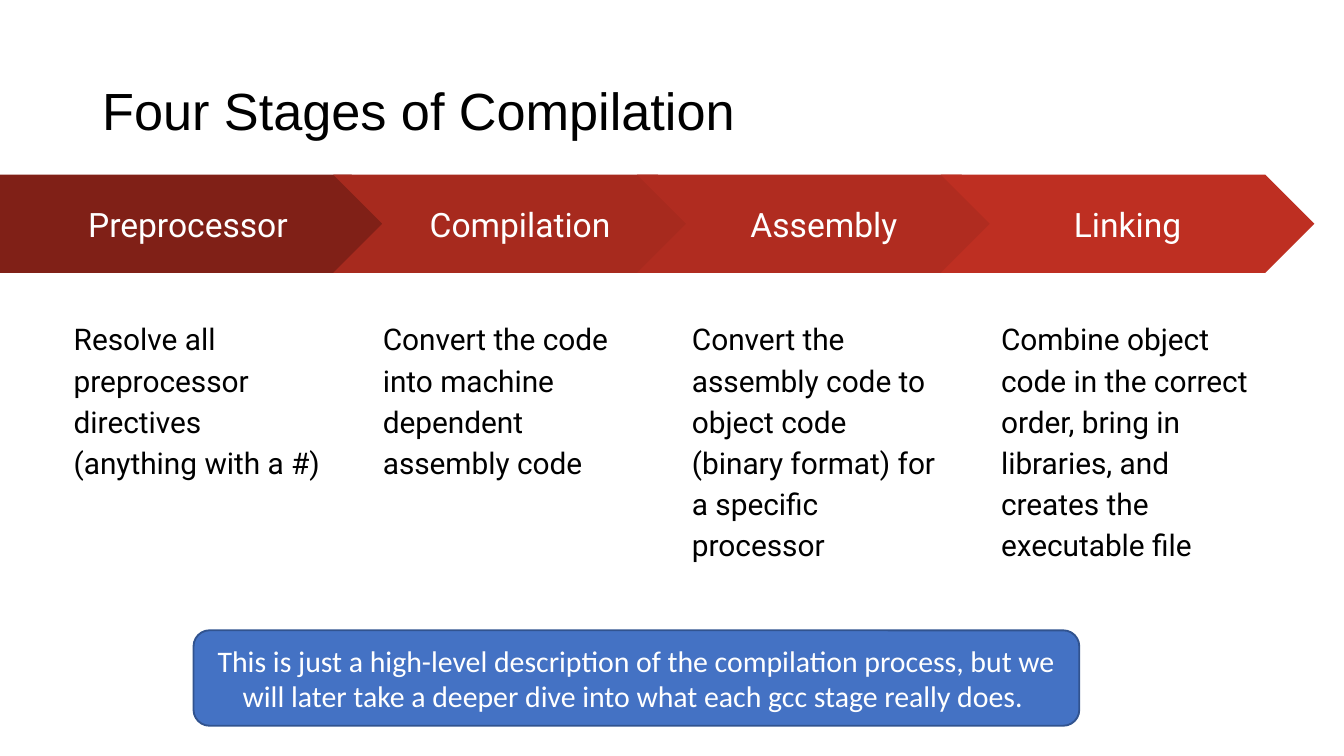
"""Build the slide on the four stages of compilation."""
from pptx import Presentation
from pptx.dml.color import RGBColor
from pptx.enum.shapes import MSO_SHAPE as Shape
from pptx.enum.text import MSO_ANCHOR as Anchor, PP_ALIGN as Align
from pptx.util import Inches, Pt

TITLE = "Four Stages of Compilation"
STAGES = [
    ("Preprocessor", "802017",
     "Resolve all preprocessor directives (anything with a #)"),
    ("Compilation", "A72A1E",
     "Convert the code into machine dependent assembly code"),
    ("Assembly", "B02C20",
     "Convert the assembly code to object code (binary format) for a specific processor"),
    ("Linking", "BE2F22",
     "Combine object code in the correct order, bring in libraries, and creates the executable file"),
]
NOTE = ("This is just a high-level description of the compilation process, but we "
        "will later take a deeper dive into what each gcc stage really does. ")

THEME = {
    "text": "000000", "light": "FFFFFF", "note": "4472C4", "note_line": "31538F",
    "title": ("Arial", 28), "stage": ("Roboto", 18),
    "body": ("Roboto", 16), "callout": ("Calibri", 16),
}
WIDTH = 10
HEIGHT = WIDTH * 9 / 16
ARROW_TOP, ARROW_H, ARROW_W, ARROW_STEP = 1.3, 0.73, 2.78, 2.26
FIRST_ARROW_W, SECOND_ARROW_LEFT = 2.98, 2.48
BODY_LEFT, BODY_TOP, BODY_W, BODY_H, BODY_STEP = 0.45, 2.25, 2.08, 2.86, 2.3


def write(sp, text, style, color, insets=(0.1, 0.1), anchor=Anchor.MIDDLE,
          align=Align.CENTER, spacing=None):
    tf = sp.text_frame
    tf.word_wrap = True
    tf.vertical_anchor = anchor
    tf.margin_left = tf.margin_right = Inches(insets[0])
    tf.margin_top = tf.margin_bottom = Inches(insets[1])
    p = tf.paragraphs[0]
    p.text = text
    p.alignment = align
    p.line_spacing = spacing
    name, size = THEME[style]
    p.font.name, p.font.size = name, Pt(size)
    p.font.color.rgb = RGBColor.from_string(THEME[color])


def add_text(s, box, *args, **kwargs):
    write(s.shapes.add_textbox(*map(Inches, box)), *args, **kwargs)


def add_block(s, kind, box, fill, line=None):
    sp = s.shapes.add_shape(kind, *map(Inches, box))
    sp.shadow.inherit = False
    sp.fill.solid()
    sp.fill.fore_color.rgb = RGBColor.from_string(fill)
    if line:
        sp.line.color.rgb = RGBColor.from_string(line)
        sp.line.width = Pt(1)
    else:
        sp.line.fill.background()
    return sp


def add_stage(s, i, name, fill, body):
    if i == 0:
        kind, left, width = Shape.PENTAGON, 0, FIRST_ARROW_W
    else:
        kind, width = Shape.CHEVRON, ARROW_W
        left = SECOND_ARROW_LEFT + (i - 1) * ARROW_STEP
    arrow = add_block(s, kind, (left, ARROW_TOP, width, ARROW_H), fill)
    write(arrow, name, "stage", "light")
    add_text(s, (BODY_LEFT + i * BODY_STEP, BODY_TOP, BODY_W, BODY_H), body,
             "body", "text", anchor=Anchor.TOP, align=Align.LEFT, spacing=1.15)


def main():
    prs = Presentation()
    prs.slide_width, prs.slide_height = Inches(WIDTH), Inches(HEIGHT)
    s = prs.slides.add_slide(prs.slide_layouts[6])
    add_text(s, (0.69, 0.3, 8.62, 1.09), TITLE, "title", "text",
             insets=(0.07, 0.04), align=Align.LEFT, spacing=0.9)
    for i, stage in enumerate(STAGES):
        add_stage(s, i, *stage)
    note = add_block(s, Shape.ROUNDED_RECTANGLE, (1.44, 4.69, 6.59, 0.71),
                     THEME["note"], THEME["note_line"])
    write(note, NOTE, "callout", "light", insets=(0.1, 0.05))
    prs.save("out.pptx")


if __name__ == "__main__":
    main()
